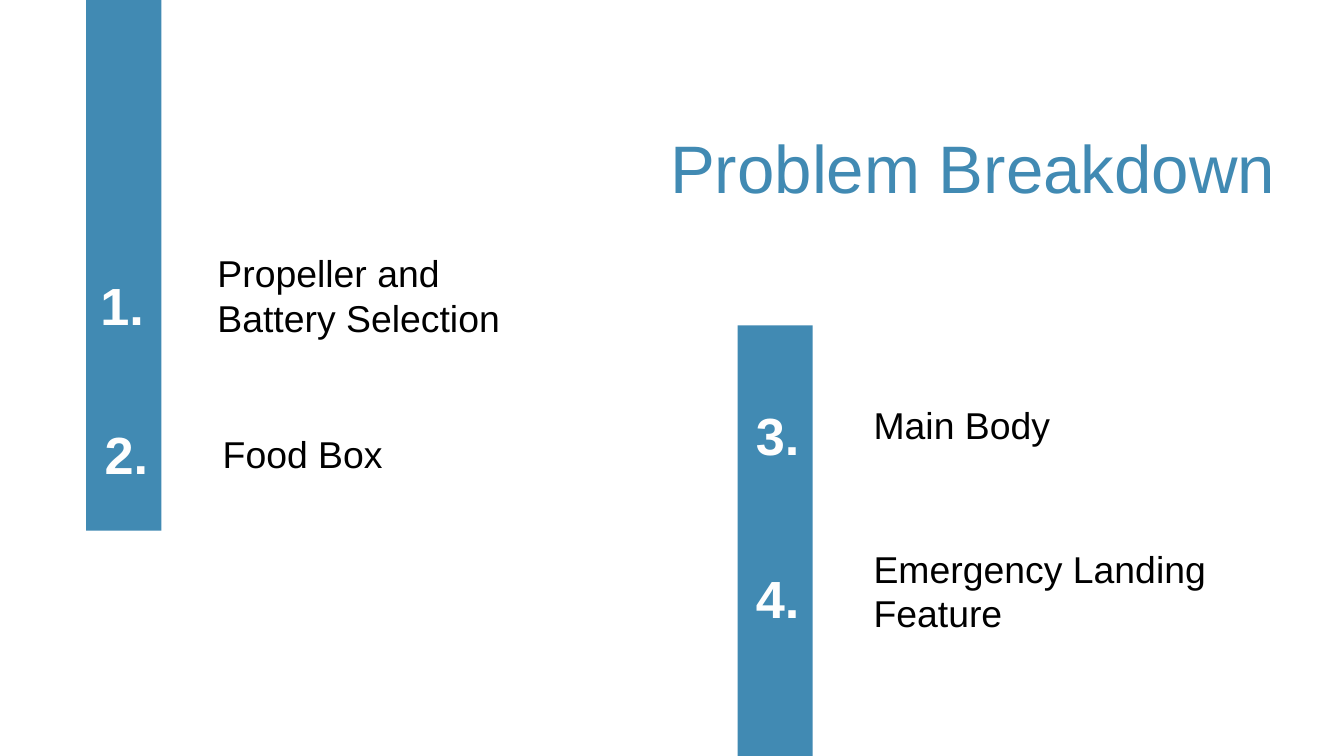
from dataclasses import dataclass

from lxml import etree
from pptx import Presentation
from pptx.dml.color import RGBColor
from pptx.enum.shapes import MSO_SHAPE
from pptx.enum.text import MSO_ANCHOR, PP_ALIGN
from pptx.oxml import parse_xml
from pptx.util import Cm, Pt


@dataclass(frozen=True)
class Theme:
    font: str = "Arial"
    accent: RGBColor = RGBColor(0x41, 0x8A, 0xB3)
    light: RGBColor = RGBColor(0xFE, 0xFE, 0xFE)
    dark: RGBColor = RGBColor(0, 0, 0)
    title_size: int = 36
    number_size: int = 28
    label_size: int = 20


THEME = Theme()
BAR_WIDTH = 1.42
NUMBER_SIZE = (3.66, 1.5)
LABEL_WIDTH = 6.86
INSET = 0.25
TEXT_SHADOW = (
    '<a:effectLst xmlns:a="http://schemas.openxmlformats.org/drawingml/2006/main">'
    '<a:outerShdw blurRad="38100" dist="38100" dir="2700000" algn="tl">'
    '<a:srgbClr val="000000"><a:alpha val="43000"/></a:srgbClr>'
    "</a:outerShdw></a:effectLst>"
)


def add_text(slide, box, text, size, color, align=PP_ALIGN.LEFT, bold=False):
    """Add a wrapped one-paragraph text box; box is left, top, width, height in cm."""
    frame = slide.shapes.add_textbox(*map(Cm, box)).text_frame
    frame.word_wrap = True
    paragraph = frame.paragraphs[0]
    paragraph.text = text
    paragraph.alignment = align
    font = paragraph.font
    font.name, font.size, font.bold = THEME.font, Pt(size), bold
    font.color.rgb = color
    return frame


def set_insets(frame, left):
    frame.margin_left = Cm(left)
    frame.margin_top = frame.margin_right = frame.margin_bottom = Cm(INSET)


def add_title(slide, box, text):
    frame = add_text(slide, box, text, THEME.title_size, THEME.accent, PP_ALIGN.CENTER)
    set_insets(frame, INSET)


def add_bar(slide, box):
    bar = slide.shapes.add_shape(MSO_SHAPE.RECTANGLE, *map(Cm, box))
    bar.shadow.inherit = False
    bar.fill.solid()
    bar.fill.fore_color.rgb = THEME.accent
    bar.line.fill.background()


def add_number(slide, box, text):
    frame = add_text(slide, box, text, THEME.number_size, THEME.light,
                     PP_ALIGN.RIGHT, bold=True)
    frame.vertical_anchor = MSO_ANCHOR.MIDDLE
    set_insets(frame, 0.64)
    run = frame.paragraphs[0].runs[0]
    run.font._element.append(parse_xml(TEXT_SHADOW))


def add_column(slide, box, items):
    """Add a bar filling the box, with numbers on it and labels to its right.

    Each item is number, number top, shift of the number from the bar's right
    edge, label, label left (from the same edge), label top, label height.
    """
    add_bar(slide, box)
    edge = box[0] + box[2]
    width, height = NUMBER_SIZE
    for number, number_top, shift, label, gap, label_top, label_height in items:
        add_number(slide, (edge + shift - width, number_top, width, height), number)
        add_text(slide, (edge + gap, label_top, LABEL_WIDTH, label_height),
                 label, THEME.label_size, THEME.dark)


def main():
    presentation = Presentation()
    presentation.slide_width, presentation.slide_height = Cm(25.4), Cm(14.29)
    slide = presentation.slides.add_slide(presentation.slide_layouts[6])

    add_column(slide, (1.63, 0, BAR_WIDTH, 10.03), [
        ("1.", 5.0, -0.08, "Propeller and Battery Selection", 0.81, 4.6, 1.96),
        ("2.", 7.82, 0, "Food Box", 0.91, 8.03, 1.12),
    ])
    add_column(slide, (13.94, 6.15, BAR_WIDTH, 8.14), [
        ("3.", 7.47, 0, "Main Body", 0.9, 7.47, 1.12),
        ("4.", 10.54, 0, "Emergency Landing Feature", 0.9, 10.19, 1.96),
    ])
    add_title(slide, (10.41, 2.13, 15.95, 1.6), "Problem Breakdown")

    presentation.save("out.pptx")


if __name__ == "__main__":
    main()
